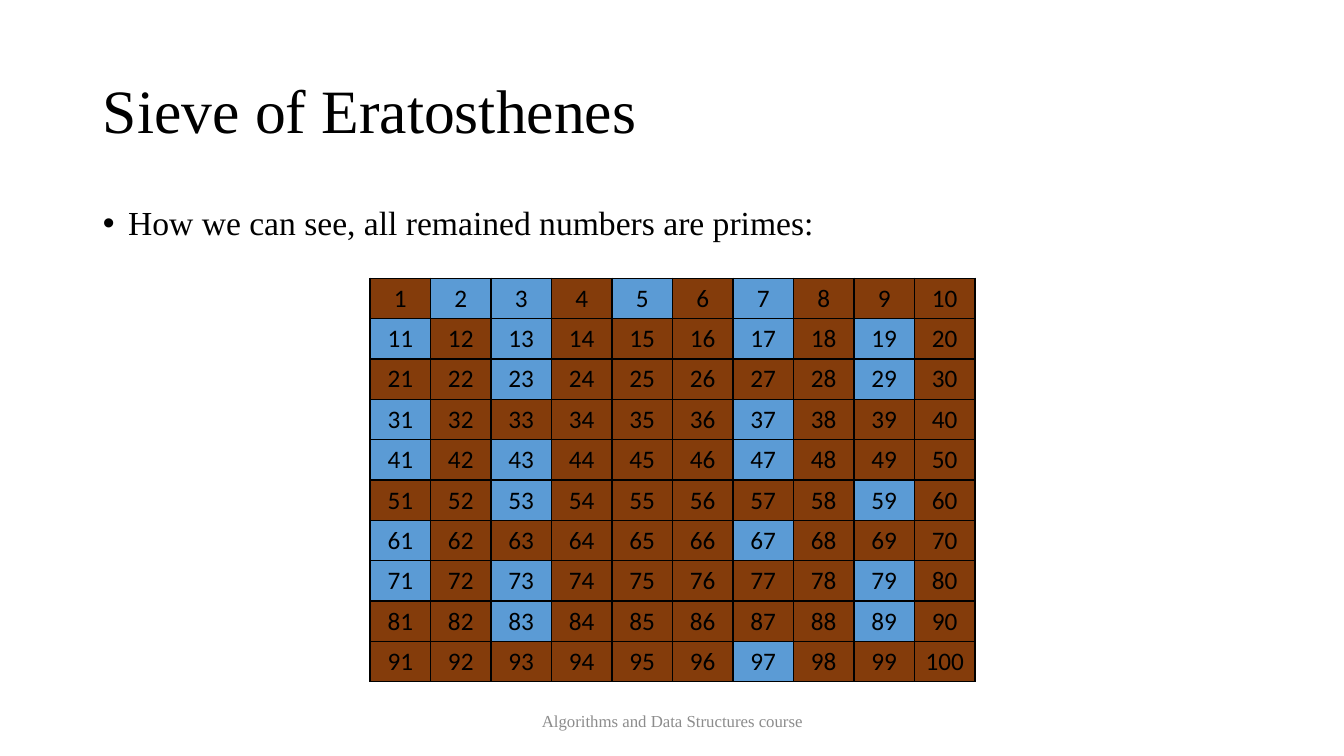
"""Build the Sieve of Eratosthenes slide with its table of primes up to 100."""
from lxml import etree
from pptx import Presentation, util as u
from pptx.dml.color import RGBColor
from pptx.enum import text as t
from pptx.oxml import ns

PX = 9144
BLACK = RGBColor(0, 0, 0)
GREY = RGBColor(0x8C, 0x8C, 0x8C)
BROWN = RGBColor(0x84, 0x3C, 0x0B)
BLUE = RGBColor(0x5B, 0x9B, 0xD5)
SERIF = "Times New Roman"
SIDE = 10
CELL_WIDTH, CELL_HEIGHT = 60, 40


def px(count):
    return u.Emu(count * PX)


def place(box, left, top, width, height):
    box.left, box.top, box.width, box.height = map(px, (left, top, width, height))


def write(frame, words, size, font=SERIF, color=BLACK, align=t.PP_ALIGN.LEFT,
          anchor=t.MSO_ANCHOR.MIDDLE, spacing=1.0, bullet=False):
    frame.word_wrap = True
    frame.vertical_anchor = anchor
    para = frame.paragraphs[0]
    para.alignment = align
    para.line_spacing = spacing
    para.space_before = u.Pt(0)
    if bullet:
        add_bullet(para)
    span = para.add_run()
    span.text = words
    span.font.size = u.Pt(size)
    span.font.name = font
    span.font.color.rgb = color


def add_bullet(para):
    props = para._p.get_or_add_pPr()
    props.set("marL", str(px(25)))
    props.set("indent", str(px(-25)))
    etree.SubElement(props, ns.qn("a:buFont")).set("typeface", "Arial")
    etree.SubElement(props, ns.qn("a:buChar")).set("char", "•")


def add_borders(cell):
    props = cell._tc.get_or_add_tcPr()
    for index, side in enumerate(("a:lnL", "a:lnR", "a:lnT", "a:lnB")):
        line = etree.Element(ns.qn(side), w=str(u.Pt(1)))
        fill = etree.SubElement(line, ns.qn("a:solidFill"))
        etree.SubElement(fill, ns.qn("a:srgbClr")).set("val", str(BLACK))
        props.insert(index, line)


def is_prime(number):
    return number > 1 and all(number % divisor for divisor in range(2, number))


def add_sieve(page, left, top):
    frame = page.shapes.add_table(SIDE, SIDE, px(left), px(top),
                                  px(SIDE * CELL_WIDTH), px(SIDE * CELL_HEIGHT))
    table = frame.table
    table.first_row = table.horz_banding = False
    for column in table.columns:
        column.width = px(CELL_WIDTH)
    for row in table.rows:
        row.height = px(CELL_HEIGHT)
    for number, cell in enumerate(table.iter_cells(), start=1):
        cell.fill.solid()
        cell.fill.fore_color.rgb = BLUE if is_prime(number) else BROWN
        cell.vertical_anchor = t.MSO_ANCHOR.MIDDLE
        write(cell.text_frame, str(number), 18, font="Calibri",
              align=t.PP_ALIGN.CENTER)
        add_borders(cell)


def main():
    deck = Presentation()
    deck.slide_width, deck.slide_height = px(1333), px(750)
    page = deck.slides.add_slide(deck.slide_layouts[1])

    title, body = page.placeholders
    place(title, 92, 40, 1150, 145)
    write(title.text_frame, "Sieve of Eratosthenes", 44, spacing=0.9)
    place(body, 92, 200, 1150, 476)
    write(body.text_frame, "How we can see, all remained numbers are primes:", 24,
          anchor=t.MSO_ANCHOR.TOP, spacing=0.9, bullet=True)

    footer = page.shapes.add_textbox(px(442), px(695), px(450), px(40))
    write(footer.text_frame, "Algorithms and Data Structures course", 12,
          color=GREY, align=t.PP_ALIGN.CENTER)
    add_sieve(page, 367, 276)
    deck.save("out.pptx")


if __name__ == "__main__":
    main()
